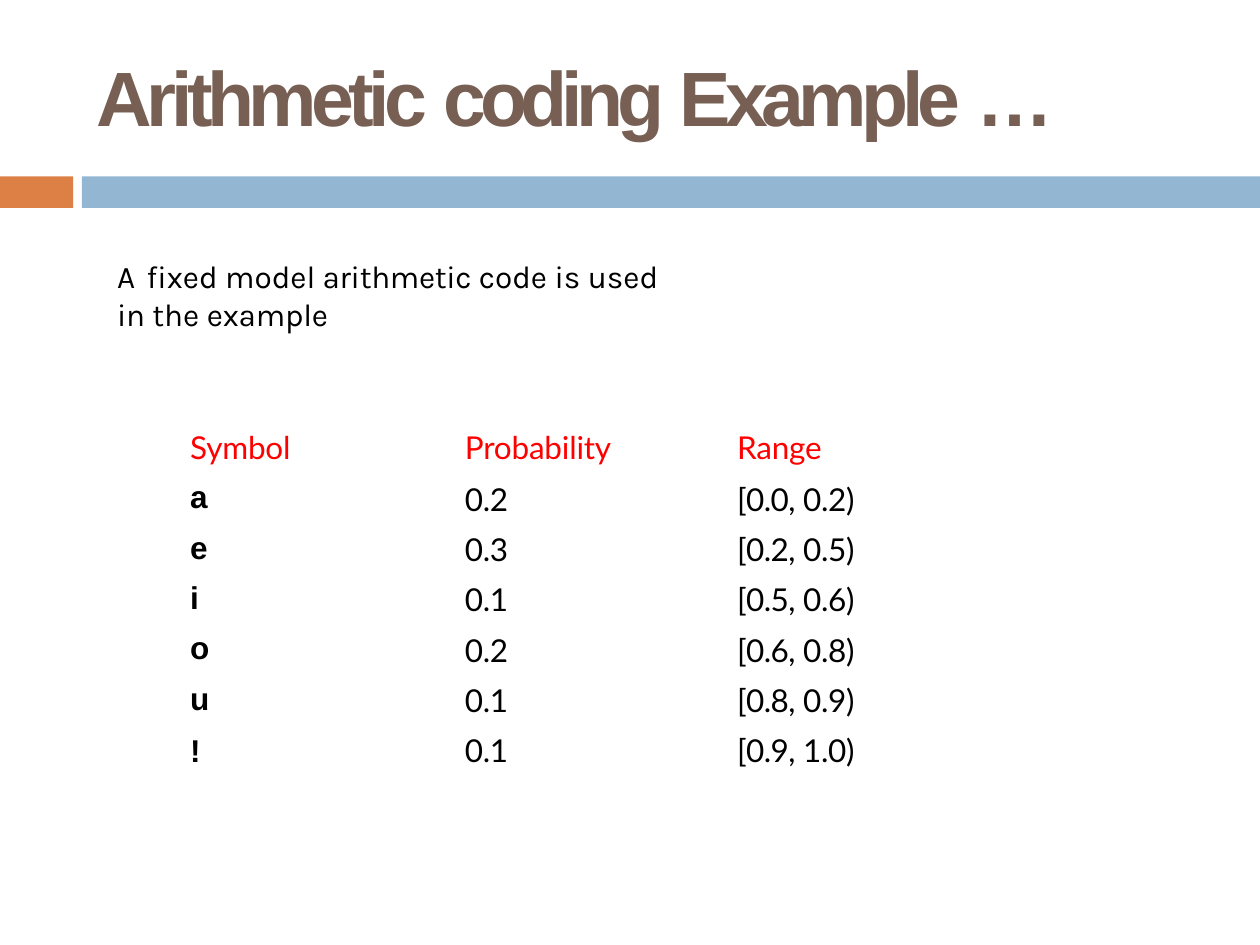
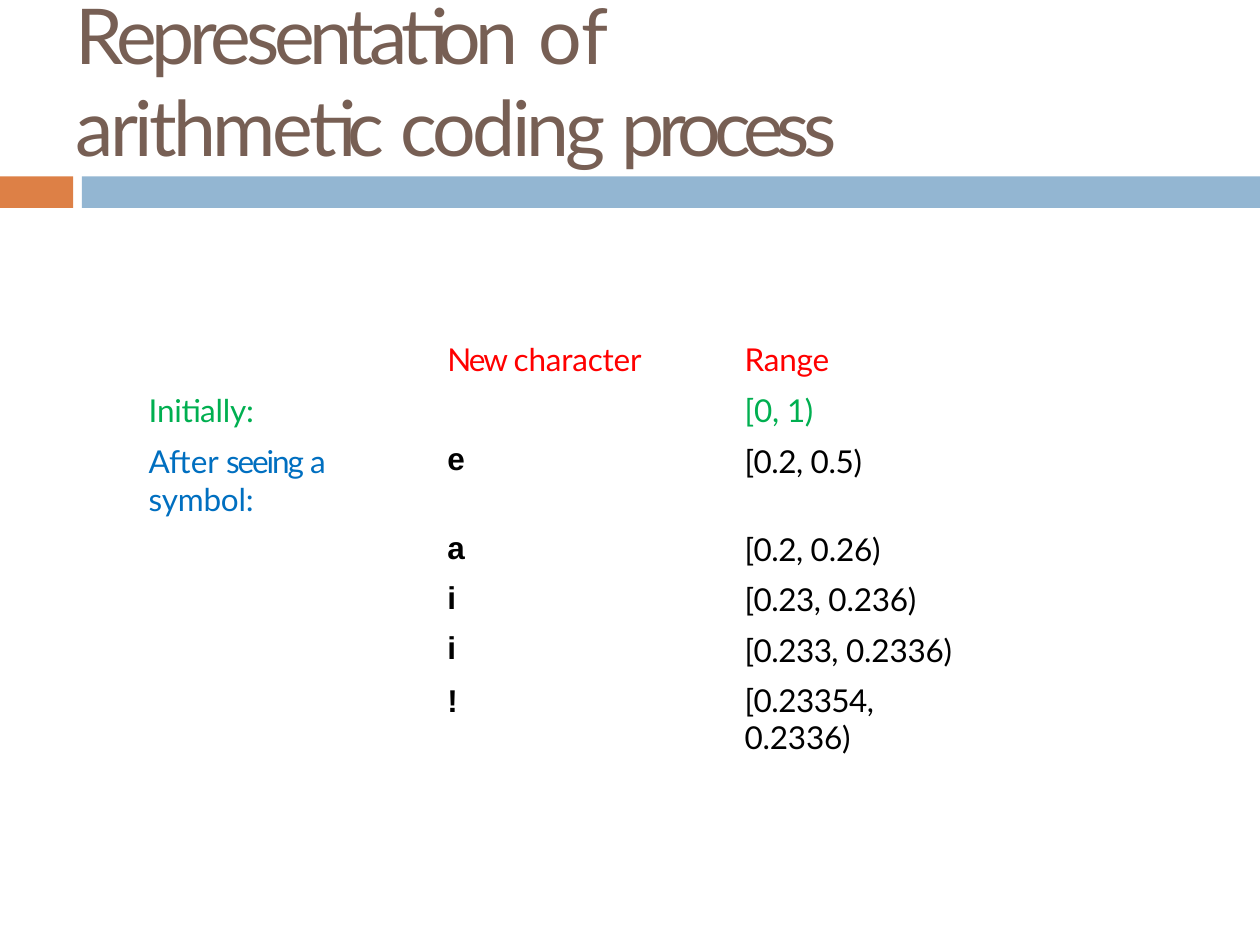
from collections import namedtuple

from pptx import Presentation
from pptx.dml.color import RGBColor as Rgb
from pptx.enum.shapes import MSO_SHAPE as Shape
from pptx.enum.text import MSO_ANCHOR as Anchor, MSO_AUTO_SIZE as AutoSize
from pptx.util import Inches, Pt

COLORS = {
    "title": "775F54", "accent": "DD8046", "band": "93B6D2",
    "header": "FF0000", "text": "000000", "start": "00AF50", "step": "006FC0",
}

# The slide is a grid of 100 columns by 75 rows
COLUMNS, ROWS = 100, 75
UNIT = Inches(0.1)
Box = namedtuple("Box", "left top width height")
BAND = Box(0, 14, COLUMNS, 2.5)

# Text styles: (font values, colour)
STYLES = {
    "bold title": ({"name": "Arial", "size": Pt(44), "bold": True}, "title"),
    "title": ({"name": "Lato", "size": Pt(44), "bold": False}, "title"),
    "body": ({"name": "Karla", "size": Pt(18), "bold": False}, "text"),
    "symbol": ({"name": "Arial", "size": Pt(18), "bold": True}, "text"),
}
for role in ("header", "text", "start", "step"):
    STYLES[role] = ({"name": "Lato", "size": Pt(18), "bold": False}, role)


def grid(units):
    return round(units * UNIT)


def set_values(target, values):
    for name, value in values.items():
        setattr(target, name, value)


def write(paragraph, pieces, style, indent, spacing):
    """Write (text, letter spacing) pieces as one paragraph."""
    set_values(paragraph, spacing)
    paragraph._p.get_or_add_pPr().set("marL", str(grid(indent)))
    values, color = STYLES[style]
    for text, tracking in pieces:
        run = paragraph.add_run()
        run.text = text
        set_values(run.font, values)
        run.font.color.rgb = Rgb.from_string(COLORS[color])
        run.font._element.set("spc", str(round(tracking * 100)))


def add_bands(slide, box):
    """Short accent block, a gap, then the long band."""
    accent_width, band_start = 5.8, 6.5
    parts = (("accent", 0, accent_width),
             ("band", band_start, box.width - band_start))
    for color, offset, width in parts:
        bar = slide.shapes.add_shape(
            Shape.RECTANGLE, *map(grid, (box.left + offset, box.top, width, box.height)))
        bar.shadow.inherit = False
        bar.fill.solid()
        bar.fill.fore_color.rgb = Rgb.from_string(COLORS[color])
        bar.line.fill.background()


def add_text(slide, box, pieces, style, indent=0.1, top_inset=0.1):
    frame = slide.shapes.add_textbox(*map(grid, box)).text_frame
    set_values(frame, {
        "margin_left": 0, "margin_right": 0, "margin_bottom": 0,
        "margin_top": grid(top_inset), "word_wrap": True,
        "vertical_anchor": Anchor.TOP, "auto_size": AutoSize.SHAPE_TO_FIT_TEXT,
    })
    write(frame.paragraphs[0], pieces, style, indent, {"space_before": Pt(1)})


def add_code_table(slide, box, widths, heights, indents, rows):
    """Table whose cells are (style, pieces), or None where empty."""
    table = slide.shapes.add_table(
        len(rows), len(widths), *map(grid, box)).table
    set_values(table, {"first_row": False, "horz_banding": False})
    for column, width in zip(table.columns, widths):
        column.width = grid(width)

    last = len(rows) - 1
    for r, (row, height) in enumerate(zip(rows, heights)):
        table.rows[r].height = grid(height)
        spacing = {"space_before": Pt(2 if r else 0)}
        if r in (0, last):
            spacing["line_spacing"] = Pt(21.2 if r else 19)
        for c, content in enumerate(row):
            cell = table.cell(r, c)
            cell.fill.background()
            set_values(cell, {
                "margin_left": 0, "margin_right": 0, "margin_bottom": 0,
                "margin_top": grid(0.3 if r else 0),
            })
            if content:
                style, pieces = content
                write(cell.text_frame.paragraphs[0], pieces, style,
                      indents[c], spacing)


def header(*pieces):
    return "header", pieces


def symbol(letter):
    return "symbol", [(letter, -0.5)]


def interval(low, high, tracking=-0.2):
    return "text", [(f"[{low}, ", -0.3), (f"{high})", tracking)]


def build_model_slide(slide):
    add_bands(slide, BAND)
    add_text(slide, Box(5.9, -0.2, 88.3, 15),
             [("Arithmetic ", -3.2), ("coding ", -3.6), ("Example ", -3.4), ("…", -0.5)],
             "bold title", indent=1.8, top_inset=4.1)

    # Symbol probabilities and their ranges
    model = [("a", "0.2", "0.0", "0.2"), ("e", "0.3", "0.2", "0.5"),
             ("i", "0.1", "0.5", "0.6"), ("o", "0.2", "0.6", "0.8"),
             ("u", "0.1", "0.8", "0.9"), ("!", "0.1", "0.9", "1.0")]
    rows = [[header((name, -0.1)) for name in ("Symbol", "Probability", "Range")]]
    rows += [(symbol(letter), ("text", [(chance, -0.2)]), interval(low, high))
             for letter, chance, low, high in model]
    add_code_table(slide, Box(14.8, 34.4, 54.1, 26.7), (14.9, 23.5, 14.9),
                   (3.4, 4, 4, 4, 4, 4, 3.4), (0.3, 7.2, 5.3), rows)

    # Introduction
    add_text(slide, Box(9.2, 20.3, 44.2, 6.3),
             [("A ", 1.1), ("fixed model", 0), (" arithmetic ", -0.2),
              ("code is used ", 0), ("in ", -0.2), ("the ", 0), ("example", -0.1)],
             "body")


def build_process_slide(slide):
    add_bands(slide, BAND)
    add_text(slide, Box(5.9, -1.1, 68, 15),
             [("Representation", -3), (" of ", 0), ("arithmetic ", -2.1),
              ("coding ", -2.2), ("process", -4)], "title")

    # Range after each new character
    after = ("step", [("After ", -0.1), ("seeing ", -1.2), ("a ", -0.5), ("symbol:", -0.1)])
    rows = [
        (None, header(("New ", -1.1), ("character", -0.1)), header(("Range", -0.1))),
        (("start", [("Initially:", -0.1)]), None,
         ("start", [("[0, ", -0.1), ("1)", -0.3)])),
        (after, symbol("e"), interval("0.2", "0.5")),
    ]
    later = [("a", "0.2", "0.26"), ("i", "0.23", "0.236"),
             ("i", "0.233", "0.2336"), ("!", "0.23354", "0.2336")]
    rows += [(None, symbol(letter), interval(low, high, -0.1))
             for letter, low, high in later]
    add_code_table(slide, Box(11.5, 27.4, 67.6, 29.7), (19.3, 23.8, 23.7),
                   (3.4, 4, 7, 4, 4, 4, 3.4), (0.3, 4.7, 4.5), rows)


def main():
    deck = Presentation()
    set_values(deck, {"slide_width": grid(COLUMNS), "slide_height": grid(ROWS)})
    blank = deck.slide_layouts[6]
    for build in (build_model_slide, build_process_slide):
        build(deck.slides.add_slide(blank))
    deck.save("out.pptx")


if __name__ == "__main__":
    main()
